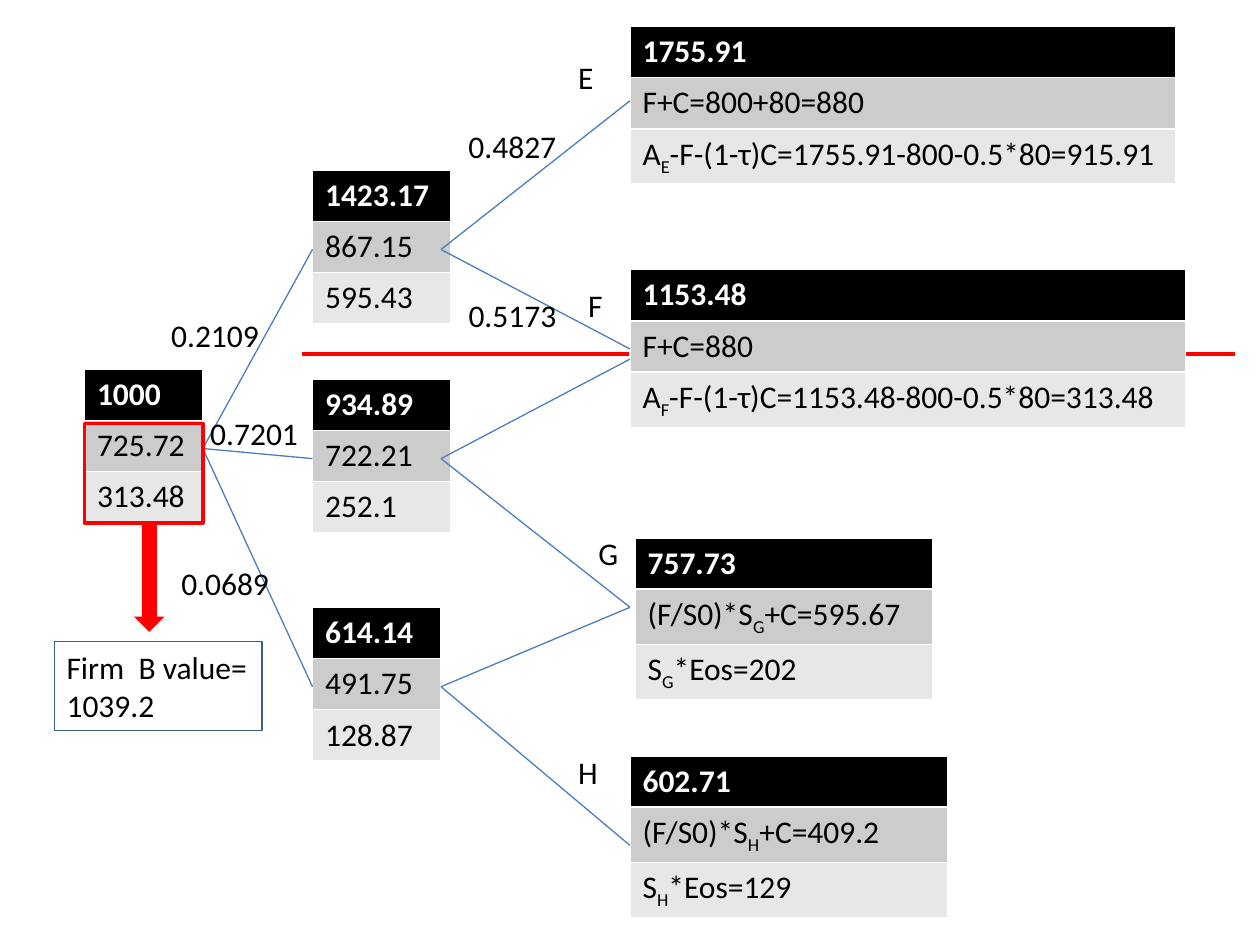
from pptx import Presentation
from pptx.dml.color import RGBColor
from pptx.enum.shapes import MSO_CONNECTOR, MSO_SHAPE
from pptx.enum.text import MSO_ANCHOR, MSO_AUTO_SIZE, PP_ALIGN
from pptx.oxml.ns import qn
from pptx.util import Inches, Pt
from lxml import etree

STRAIGHT = MSO_CONNECTOR.STRAIGHT
RECTANGLE, ARROW = MSO_SHAPE.RECTANGLE, MSO_SHAPE.RIGHT_ARROW
LEFT, MIDDLE, TOP = PP_ALIGN.LEFT, MSO_ANCHOR.MIDDLE, MSO_ANCHOR.TOP
FIT_SHAPE = MSO_AUTO_SIZE.SHAPE_TO_FIT_TEXT

# Columns of the tree: left edges of the nodes and ends of the branches
ROOT, STEP, FINAL = 0.67, 2.48, 5.0
ROOT_END, STEP_END = 1.61, 3.5
TABLE_HEIGHT = 1.22
ROW_FILLS = ("000000", "CCCCCC", "E7E7E7")
RED, BLUE, NAVY = "FF0000", "4B7EBC", "3A5F8C"

# Nodes: left, top, width, lines of text (_X is a subscript)
NODES = [
    (ROOT, 2.93, 0.94, ("1000", "725.72", "313.48")),
    (STEP, 4.82, 1.02, ("614.14", "491.75", "128.87")),
    (STEP, 3.01, 1.1, ("934.89", "722.21", "252.1")),
    (STEP, 1.35, 1.1, ("1423.17", "867.15", "595.43")),
    (FINAL, 2.14, 4.41,
     ("1153.48", "F+C=880", "A_F-F-(1-τ)C=1153.48-800-0.5*80=313.48")),
    (FINAL, 0.21, 4.33,
     ("1755.91", "F+C=800+80=880", "A_E-F-(1-τ)C=1755.91-800-0.5*80=915.91")),
    (FINAL, 6, 2.52, ("602.71", "(F/S0)*S_H+C=409.2", "S_H*Eos=129")),
    (5.04, 4.27, 2.36, ("757.73", "(F/S0)*S_G+C=595.67", "S_G*Eos=202")),
]

# Branches: start height and the end heights it leads to
ROOT_BRANCHES = {3.56: (1.98, 3.64, 5.45)}
STEP_BRANCHES = {1.98: (0.8, 2.77), 3.64: (2.85, 4.82), 5.45: (4.82, 6.71)}

# Labels: left, top, width, text
LABELS = [
    (3.62, 0.96, 1.1, "0.4827"), (1.26, 2.46, 1.1, "0.2109"),
    (3.62, 2.3, 0.98, "0.5173"), (1.34, 4.43, 0.98, "0.0689"),
    (1.57, 3.24, 0.91, "0.7201"),
    (4.49, 0.41, 0.47, "E"), (4.57, 2.22, 0.47, "F"),
    (4.65, 4.19, 0.47, "G"), (4.49, 5.93, 0.47, "H"),
]


def color(value):
    return RGBColor.from_string(value)


def write(frame, *lines, size=18, ink="000000", bold=False):
    """Write one paragraph per line; the letter after each _ is lowered."""
    for number, line in enumerate(lines):
        para = frame.add_paragraph() if number else frame.paragraphs[0]
        para.alignment = LEFT
        start, *rest = line.split("_")
        pieces = [(start, False)]
        for part in rest:
            pieces += [(part[0], True), (part[1:], False)]
        for text, lowered in pieces:
            span = para.add_run()
            span.text = text
            span.font.name = "Calibri"
            span.font.size = Pt(size)
            span.font.bold = bold
            span.font.color.rgb = color(ink)
            if lowered:
                span._r.get_or_add_rPr().set("baseline", "-25000")


def add_node(page, left, top, width, lines):
    table = page.shapes.add_table(
        len(lines), 1, Inches(left), Inches(top),
        Inches(width), Inches(TABLE_HEIGHT)).table
    for row, (line, fill) in enumerate(zip(lines, ROW_FILLS)):
        cell = table.cell(row, 0)
        cell.fill.solid()
        cell.fill.fore_color.rgb = color(fill)
        cell.vertical_anchor = TOP
        header = row == 0
        write(cell.text_frame, line, bold=header,
              ink="FFFFFF" if header else "000000")


def add_line(page, start, end, ink=BLUE, weight=0.75):
    line = page.shapes.add_connector(
        STRAIGHT, *(Inches(value) for value in (*start, *end)))
    line.line.color.rgb = color(ink)
    line.line.width = Pt(weight)
    etree.SubElement(line._element.spPr, qn("a:effectLst"))


def add_branches(page, left, right, branches):
    for start, ends in branches.items():
        for end in ends:
            add_line(page, (left, start), (right, end))


def add_label(page, left, top, width, text):
    box = page.shapes.add_textbox(
        Inches(left), Inches(top), Inches(width), Inches(0.4))
    box.text_frame.word_wrap = True
    box.text_frame.auto_size = FIT_SHAPE
    write(box.text_frame, text)


def add_block(page, kind, left, top, width, height,
              fill=None, outline=None, weight=0.75):
    block = page.shapes.add_shape(
        kind, Inches(left), Inches(top), Inches(width), Inches(height))
    block.shadow.inherit = False
    if fill:
        block.fill.solid()
        block.fill.fore_color.rgb = color(fill)
    else:
        block.fill.background()
    if outline:
        block.line.color.rgb = color(outline)
        block.line.width = Pt(weight)
    else:
        block.line.fill.background()
    return block


def add_firm_value(page):
    """Frame the root values and point to their sum."""
    add_block(page, RECTANGLE, ROOT, 3.36, 0.94, 0.79, outline=RED, weight=2)
    arrow = add_block(page, ARROW, 0.75, 4.46, 0.87, 0.24, fill=RED)
    arrow.rotation = 90
    box = add_block(page, RECTANGLE, 0.43, 5.09, 1.65, 0.71, outline=NAVY)
    box.text_frame.word_wrap = True
    box.text_frame.auto_size = FIT_SHAPE
    box.text_frame.vertical_anchor = MIDDLE
    write(box.text_frame, "Firm  B value=", "1039.2")


def main():
    deck = Presentation()
    deck.slide_width, deck.slide_height = Inches(10), Inches(7.5)
    page = deck.slides.add_slide(deck.slide_layouts[6])

    # Dividing line behind the tree
    add_line(page, (9.8, 2.81), (2.4, 2.81), ink=RED, weight=2)

    # Tree
    for node in NODES:
        add_node(page, *node)
    add_branches(page, ROOT_END, STEP, ROOT_BRANCHES)
    add_branches(page, STEP_END, FINAL, STEP_BRANCHES)
    for label in LABELS:
        add_label(page, *label)

    # Result
    add_firm_value(page)
    deck.save("out.pptx")


if __name__ == "__main__":
    main()
